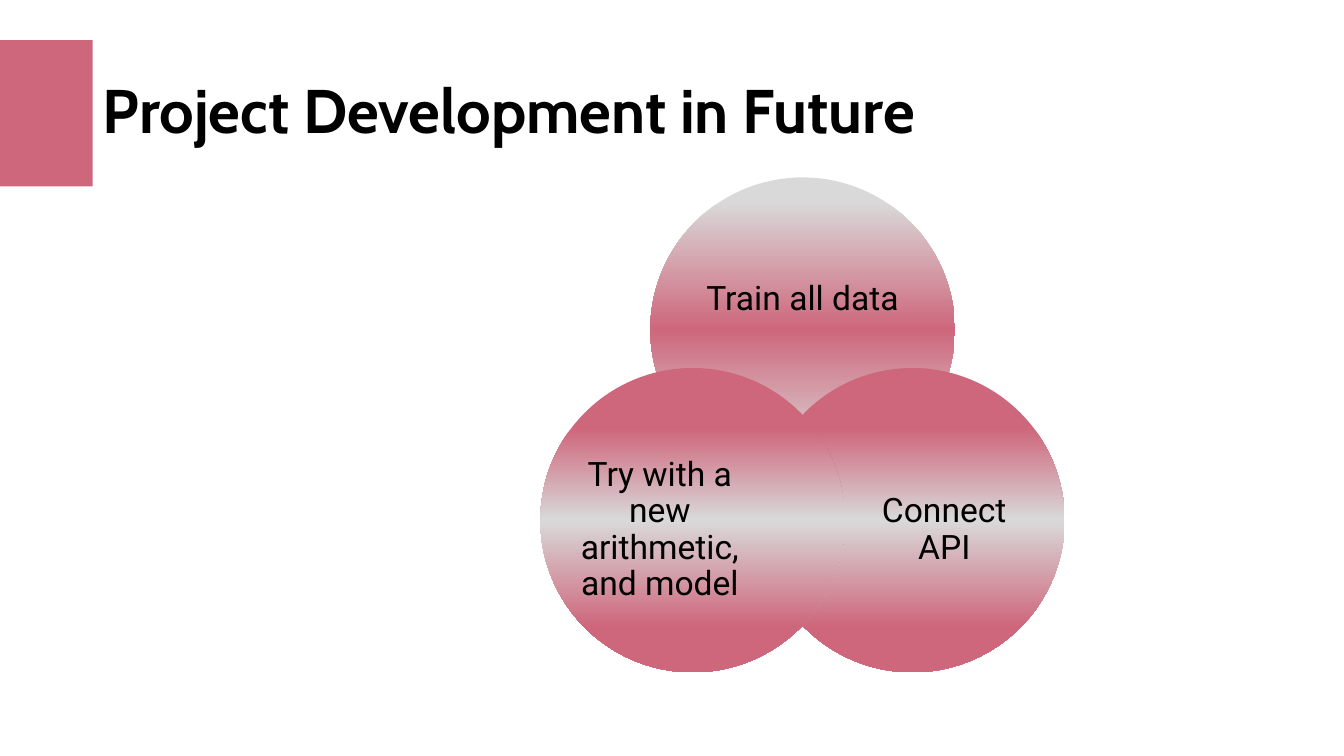
from copy import deepcopy

from pptx import Presentation
from pptx.dml.color import RGBColor
from pptx.enum.shapes import MSO_SHAPE
from pptx.enum.text import MSO_ANCHOR, MSO_AUTO_SIZE, PP_ALIGN
from pptx.util import Inches, Pt

WIDE, HIGH = Inches(13.33), Inches(7.5)
ROSE, GREY, BLACK = "CE677C", "D9D9D9", "000000"
ROSE_EDGE = [(20, ROSE), (50, GREY), (85, ROSE)]
GREY_EDGE = [(8, GREY), (50, ROSE), (92, GREY)]
BAR, TOP, TALL = 6.9, 5.33, 19.33
DISC = (22.66, 40.27)
LOW, LABEL = 48.67, (13.58, 22.13)


def color(code):
    return RGBColor.from_string(code)


def box(left, top, wide, high):
    """Turn percentages of the slide into lengths."""
    return [round(share * side / 100) for share, side in
            zip((left, top, wide, high), (WIDE, HIGH, WIDE, HIGH))]


def add_form(slide, kind, area):
    form = slide.shapes.add_shape(kind, *box(*area))
    form.shadow.inherit = False
    form.line.fill.background()
    return form


def add_bar(slide, area):
    bar = add_form(slide, MSO_SHAPE.RECTANGLE, area)
    bar.fill.solid()
    bar.fill.fore_color.rgb = color(ROSE)


def add_disc(slide, left, top, stops):
    """Draw a circle shaded from top to bottom through three stops."""
    fill = add_form(slide, MSO_SHAPE.OVAL, (left, top, *DISC)).fill
    fill.gradient()
    fill.gradient_angle = 270
    last = fill.gradient_stops[1]._gs
    last.addnext(deepcopy(last))
    for stop, (place, code) in zip(fill.gradient_stops, stops):
        stop.position = place / 100
        stop.color.rgb = color(code)


def write(frame, text, font, size, align, bold=False):
    frame.word_wrap = True
    frame.auto_size = MSO_AUTO_SIZE.NONE
    frame.vertical_anchor = MSO_ANCHOR.MIDDLE
    line = frame.paragraphs[0]
    line.alignment = align
    line.line_spacing = 0.9
    run = line.add_run()
    run.text = text
    run.font.name = font
    run.font.size = Pt(size)
    run.font.bold = bold
    run.font.color.rgb = color(BLACK)


def add_label(slide, text, area):
    frame = slide.shapes.add_textbox(*box(*area)).text_frame
    frame.margin_left = frame.margin_right = 0
    frame.margin_top = frame.margin_bottom = 0
    write(frame, text, "Roboto", 24, PP_ALIGN.CENTER)


def set_title(slide, text, area):
    title = slide.shapes.title
    title.left, title.top, title.width, title.height = box(*area)
    write(title.text_frame, text, "Cabin", 44, PP_ALIGN.LEFT, True)


def main():
    deck = Presentation()
    deck.slide_width, deck.slide_height = WIDE, HIGH
    slide = deck.slides.add_slide(deck.slide_layouts[5])
    set_title(slide, "Project Development in Future",
              (BAR, TOP, 86.27, TALL))
    add_bar(slide, (0, TOP, BAR, TALL))
    discs = [
        (48.39, 23.47, GREY_EDGE, "Train all data",
         (51.39, 30.53, 16.65, 18.13)),
        (56.56, LOW, ROSE_EDGE, "Connect API", (63.47, 59.07, *LABEL)),
        (40.21, LOW, ROSE_EDGE, "Try with a new arithmetic, and model",
         (42.31, 59.07, *LABEL)),
    ]
    for left, top, stops, text, area in discs:
        add_disc(slide, left, top, stops)
        add_label(slide, text, area)
    deck.save("out.pptx")


if __name__ == "__main__":
    main()
